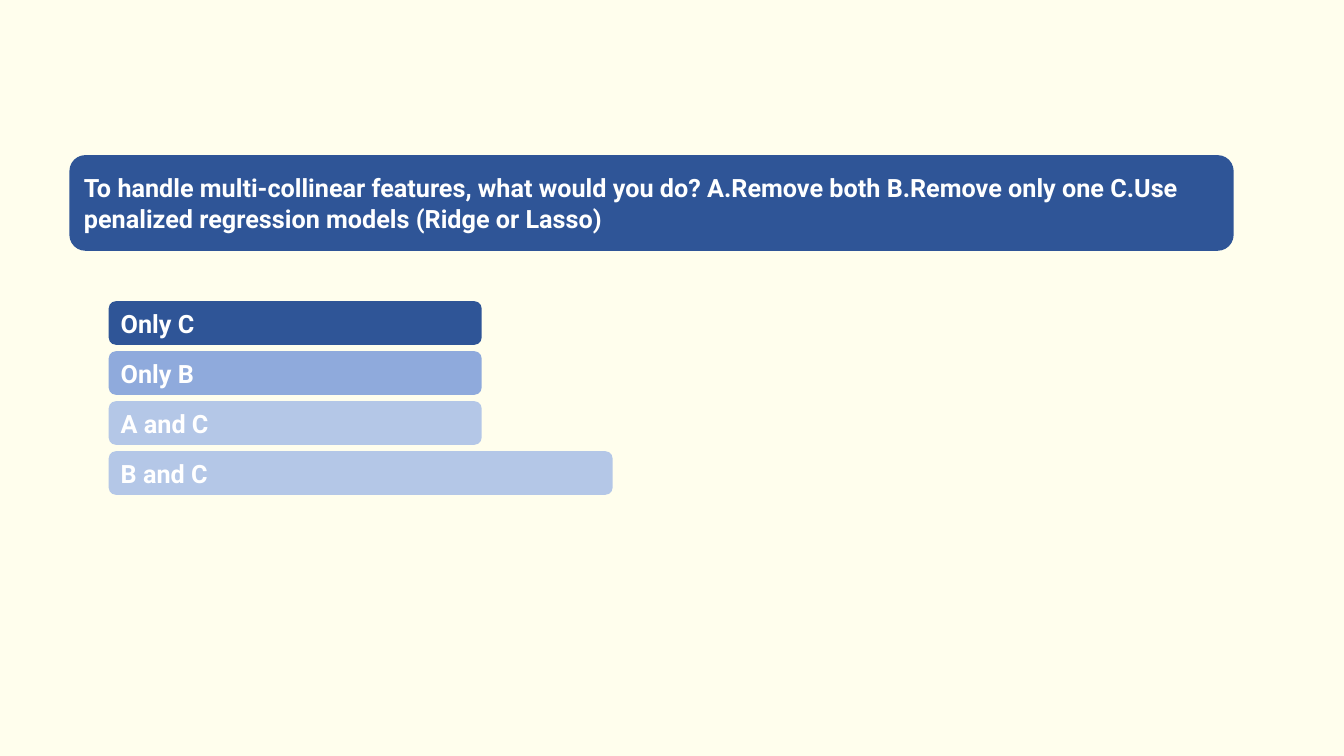
import pptx
import pptx.util
import pptx.dml.color
import pptx.enum.shapes
import pptx.enum.text
from dataclasses import dataclass

Cm = pptx.util.Cm
RGB = pptx.dml.color.RGBColor.from_string

# Content
ASK = ("To handle multi-collinear features, what would you do? "
       "A.Remove both B.Remove only one C.Use penalized regression models "
       "(Ridge or Lasso)")
PICKS = [  # text, tone, width in cm
    ("Only C", "dark", 9.4),
    ("Only B", "mid", 9.4),
    ("A and C", "pale", 9.4),
    ("B and C", "pale", 12.7),
]


@dataclass
class Theme:
    back: str = "FFFEED"
    dark: str = "2F5597"
    mid: str = "8FAADC"
    pale: str = "B4C7E7"
    ink: str = "FFFFFF"
    font: str = "Roboto"
    size: int = 18


THEME = Theme()

# Layout in cm
ASK_BOX = (1.75, 3.91, 29.34, 2.41)
PICK_LEFT, PICK_TOP, PICK_HIGH, PICK_STEP = 2.74, 7.59, 1.1, 1.26


def add_bar(slide, text, tone, box):
    """Add a rounded bar with bold, left-aligned text."""
    kind = pptx.enum.shapes.MSO_SHAPE.ROUNDED_RECTANGLE
    bar = slide.shapes.add_shape(kind, *map(Cm, box))
    bar.shadow.inherit = False
    bar.fill.solid()
    bar.fill.fore_color.rgb = RGB(getattr(THEME, tone))
    bar.line.fill.background()
    frame = bar.text_frame
    frame.word_wrap = True
    frame.vertical_anchor = pptx.enum.text.MSO_ANCHOR.MIDDLE
    frame.text = text
    line = frame.paragraphs[0]
    line.alignment = pptx.enum.text.PP_ALIGN.LEFT
    font = line.runs[0].font
    font.name = THEME.font
    font.size = pptx.util.Pt(THEME.size)
    font.bold = True
    font.color.rgb = RGB(THEME.ink)


def main():
    deck = pptx.Presentation()
    deck.slide_width, deck.slide_height = Cm(33.87), Cm(19.05)
    slide = deck.slides.add_slide(deck.slide_layouts.get_by_name("Blank"))
    slide.background.fill.solid()
    slide.background.fill.fore_color.rgb = RGB(THEME.back)

    # Question
    add_bar(slide, ASK, "dark", ASK_BOX)

    # Answers, stacked at an even step
    for row, (text, tone, width) in enumerate(PICKS):
        top = PICK_TOP + row * PICK_STEP
        add_bar(slide, text, tone, (PICK_LEFT, top, width, PICK_HIGH))

    deck.save("out.pptx")


if __name__ == "__main__":
    main()
